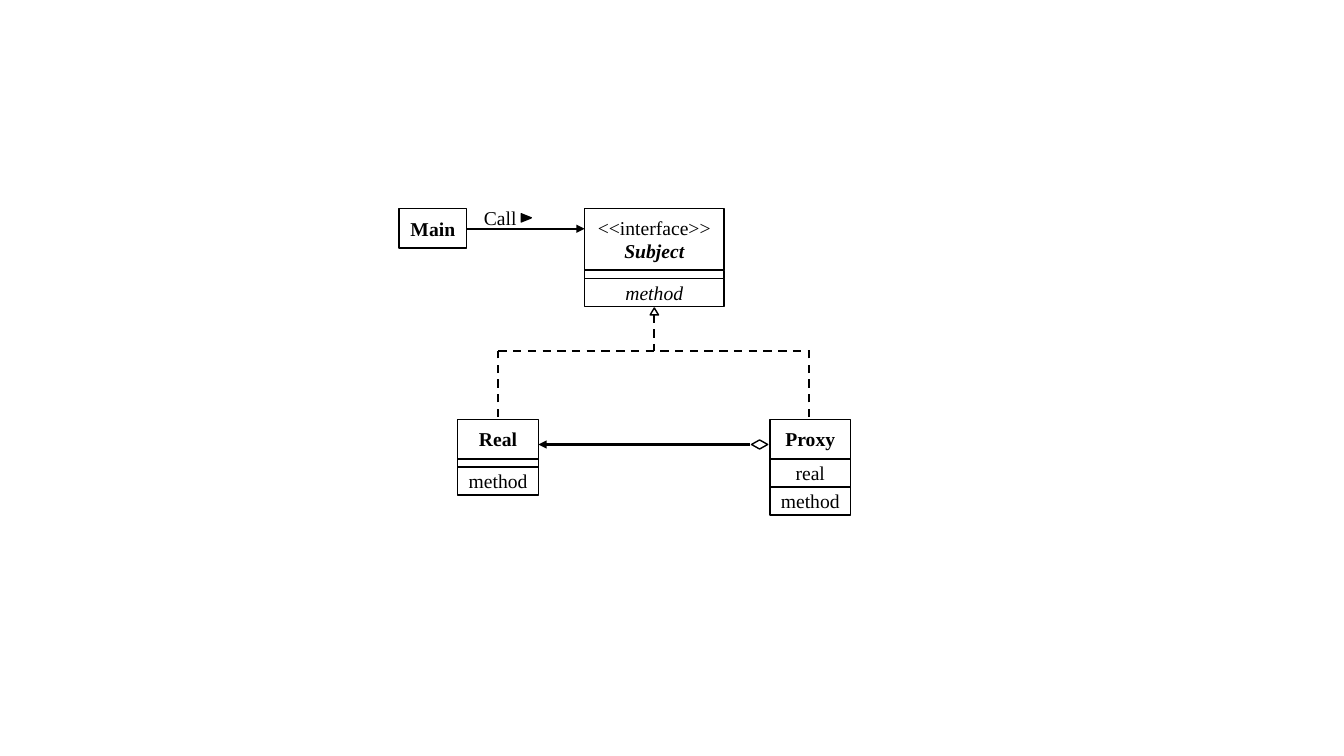
from pptx import Presentation
from pptx.dml.color import RGBColor
from pptx.enum.dml import MSO_LINE
from pptx.enum.shapes import MSO_CONNECTOR, MSO_SHAPE
from pptx.enum.text import MSO_ANCHOR, MSO_AUTO_SIZE, PP_ALIGN
from pptx.oxml.ns import qn
from pptx.util import Pt
from lxml import etree

BLACK = RGBColor(0, 0, 0)
WHITE = RGBColor(255, 255, 255)
RECT, TRI, DIAMOND = MSO_SHAPE.RECTANGLE, MSO_SHAPE.ISOSCELES_TRIANGLE, MSO_SHAPE.DIAMOND
STRAIGHT, DASH = MSO_CONNECTOR.STRAIGHT, MSO_LINE.DASH
MIDDLE, CENTER = MSO_ANCHOR.MIDDLE, PP_ALIGN.CENTER
FONT = {"name": "Times New Roman", "size": Pt(14)}
PLAIN, BOLD, SLANT = {}, {"bold": True}, {"italic": True}
BOTH = {"bold": True, "italic": True}


def add_box(owner, kind, left, top, width, height, fill=WHITE, turn=0):
    box = owner.add_shape(kind, Pt(left), Pt(top), Pt(width), Pt(height))
    box.shadow.inherit = False
    box.rotation = turn
    box.fill.solid()
    box.fill.fore_color.rgb = fill
    box.line.color.rgb = BLACK
    box.line.width = Pt(1)
    return box


def add_text(frame, lines):
    for side in ("left", "right", "top", "bottom"):
        setattr(frame, "margin_" + side, 0)
    for n, (text, style) in enumerate(lines):
        para = frame.add_paragraph() if n else frame.paragraphs[0]
        run = para.add_run()
        run.text = text
        run.font.color.rgb = BLACK
        for key, value in (FONT | style).items():
            setattr(run.font, key, value)


deck = Presentation()
deck.slide_width, deck.slide_height = Pt(960), Pt(540)
slide = deck.slides.add_slide(deck.slide_layouts[6])
shapes = slide.shapes

# Class boxes: left, top, width, then rows of height and text lines
NAME, ROW, GAP = 28.3, 20, 5.8
CLASSES = [
    (417.6, 149, 99.6, [(44, [("<<interface>>", PLAIN), ("Subject", BOTH)]),
                        (GAP, []), (ROW, [("method", SLANT)])]),
    (327, 299.5, 57.6, [(NAME, [("Real", BOLD)]), (GAP, []), (ROW, [("method", PLAIN)])]),
    (550, 299.5, 57.6, [(NAME, [("Proxy", BOLD)]), (ROW, [("real", PLAIN)]),
                        (ROW, [("method", PLAIN)])]),
    (285, 149, 48.4, [(NAME, [("Main", BOLD)])]),
]
for left, top, width, rows in CLASSES:
    owner = shapes.add_group_shape().shapes if len(rows) > 1 else shapes
    for height, lines in rows:
        box = add_box(owner, RECT, left, top, width, height)
        if lines:
            add_text(box.text_frame, lines)
            box.text_frame.vertical_anchor = MIDDLE
            for para in box.text_frame.paragraphs:
                para.alignment = CENTER
        top += height

# Links: start, end, dashed
LINKS = [
    (356, 250.6, 578.4, 250.6, True),
    (356, 298, 356, 250.6, True),
    (578, 298, 578, 250.6, True),
    (467.4, 224.6, 467.4, 250.6, True),
    (536, 317.5, 384.6, 317.5, False),
    (333.4, 163.4, 417.6, 163.4, False),
]
for x1, y1, x2, y2, dashed in LINKS:
    link = shapes.add_connector(STRAIGHT, Pt(x1), Pt(y1), Pt(x2), Pt(y2))
    link.line.color.rgb = BLACK
    link.line.width = Pt(1.5)
    if dashed:
        link.line.dash_style = DASH
    else:
        etree.SubElement(link.line._get_or_add_ln(), qn("a:tailEnd"), type="triangle")
    etree.SubElement(link._element.spPr, qn("a:effectLst"))

# Inheritance head, aggregation diamond and call direction
add_box(shapes, TRI, 464.4, 220, 6, 5)
add_box(shapes, DIAMOND, 539.3, 311.7, 6.5, 11.6, turn=90)
add_box(shapes, TRI, 373, 152, 5.8, 7.2, BLACK, 90)

# Call label
label = shapes.add_textbox(Pt(345.6), Pt(147), Pt(74), Pt(17)).text_frame
add_text(label, [("Call", PLAIN)])
label.word_wrap = True
label.auto_size = MSO_AUTO_SIZE.SHAPE_TO_FIT_TEXT

deck.save("out.pptx")
